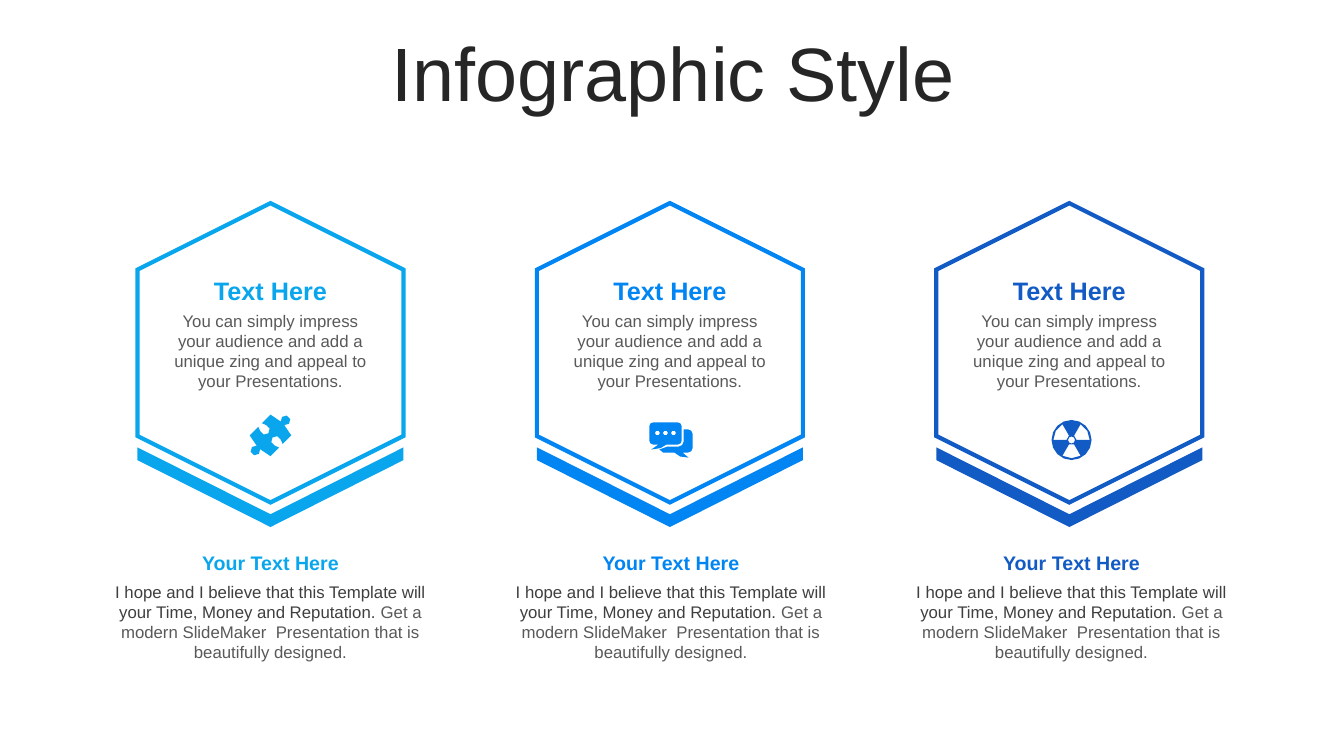
from dataclasses import dataclass
from math import cos, radians, sin

from lxml import etree
from pptx import Presentation
from pptx.dml.color import RGBColor as Rgb
from pptx.enum.shapes import MSO_SHAPE as Kind
from pptx.enum.text import MSO_ANCHOR as Anchor
from pptx.enum.text import MSO_AUTO_SIZE as Fit
from pptx.enum.text import PP_ALIGN as Align
from pptx.oxml.ns import qn
from pptx.util import Pt


@dataclass(frozen=True)
class Theme:
    """Colours, font and type sizes of the slide."""
    font: str = "Arial"
    hues: tuple = ("0AA6ED", "0085F2", "125AC4")
    title: str = "262626"
    dark: str = "3F3F3F"
    grey: str = "595959"
    huge: int = 54
    head: int = 18
    sub: int = 14
    body: int = 12


THEME = Theme()
FIRST = 193.2  # centre of the first column
PITCH = 285.3  # step between badges
STEP = 286.1  # step between icons and between captions
FINE = 100  # outline units in one point

INNER = ("You can simply impress your audience and add a unique zing "
         "and appeal to your Presentations.")
LEAD = ("I hope and I believe that this Template will your Time, "
        "Money and Reputation.")
REST = " Get a modern SlideMaker  Presentation that is beautifully designed."


def add_run(para, text, size, hue, bold=False):
    """Add one styled run to a paragraph."""
    run = para.add_run()
    run.text = text
    font = run.font
    font.name, font.size, font.bold = THEME.font, Pt(size), bold
    font.color.rgb = Rgb.from_string(hue)


def add_title(slide, text):
    """Place and fill the title."""
    title = slide.shapes.title
    title.left, title.top = Pt(25.2), Pt(26.6)
    title.width, title.height = Pt(911.5), Pt(56.9)
    frame = title.text_frame
    frame.vertical_anchor = Anchor.MIDDLE
    para = frame.paragraphs[0]
    para.alignment, para.line_spacing = Align.CENTER, 0.9
    add_run(para, text, THEME.huge, THEME.title)


def add_text(shapes, mid, top, width, height, runs):
    """Add a centred text box around the line x = mid."""
    box = shapes.add_textbox(Pt(mid - width / 2), Pt(top), Pt(width), Pt(height))
    frame = box.text_frame
    frame.word_wrap, frame.auto_size = True, Fit.SHAPE_TO_FIT_TEXT
    para = frame.paragraphs[0]
    para.alignment = Align.CENTER
    for run in runs:
        add_run(para, *run)


def fill_plain(shape, hue):
    """Give a shape a solid fill, no line and no shadow."""
    shape.shadow.inherit = False
    shape.fill.solid()
    shape.fill.fore_color.rgb = Rgb.from_string(hue)
    shape.line.fill.background()


def add_turned(shapes, kind, mid, y, width, height, turn, bend):
    """Add a rotated preset shape centred on (mid, y)."""
    shape = shapes.add_shape(kind, Pt(mid - width / 2), Pt(y - height / 2),
                             Pt(width), Pt(height))
    shape.rotation = turn
    shape.adjustments[0] = bend
    return shape


def add_badge(shapes, mid, hue):
    """Add the outlined hexagon and the chevron beneath it."""
    hexa = add_turned(shapes, Kind.HEXAGON, mid, 252, 213.8, 190, 270, 0.25)
    hexa.shadow.inherit = False
    hexa.fill.background()
    hexa.line.color.rgb = Rgb.from_string(hue)
    hexa.line.width = Pt(3)
    edge = hexa.element.spPr.find(qn("a:ln"))
    etree.SubElement(edge, qn("a:miter"), lim="800000")
    fill_plain(add_turned(shapes, Kind.CHEVRON, mid, 348, 56.9, 190, 90, 0.84), hue)


def arc(x, y, r, start, end, steps=2):
    """Return points on an arc; angles in degrees, clockwise from the right."""
    turns = (radians(start + (end - start) * i / steps) for i in range(steps + 1))
    return [(x + r * cos(t), y + r * sin(t)) for t in turns]


def disc(x, y, r, steps=8):
    """Return the corners of a round outline."""
    return arc(x, y, r, 0, 360, steps)[:-1]


def puzzle():
    """Return an upright puzzle piece: half an outline, then its mirror."""
    half = [(-10.5, -10.5), *arc(0, -15.2, 3.5, 120, 420, 5),
            (10.5, -10.5), (10.5, -1.8),
            *arc(5.6, 0, 3.5, -60, -300, 4), (10.5, 1.8)]
    return [half + [(-x, -y) for x, y in half]]


def chat():
    """Return two speech bubbles, the front one with three dots."""
    front = [*arc(2.9, 2.9, 2.9, 180, 270), *arc(20.3, 2.9, 2.9, 270, 360),
             *arc(20.3, 13, 2.9, 0, 90), (12.2, 15.9), (8, 18.4),
             (1.4, 19.4), (6.5, 15.9), *arc(2.9, 13, 2.9, 90, 180)]
    back = [(24.5, 5), *arc(27.6, 8.4, 3.4, 270, 360),
            *arc(27.6, 18.2, 3.4, 0, 90), (23.8, 21.6), (28.1, 25.2),
            (22, 24.4), (18, 21.6), (10, 21.6), (7.2, 19.4),
            (13, 17.3), *arc(21, 13.8, 3.5, 90, 0)]
    parts = [front, back, *(disc(x, 7.6, 1.8, 6) for x in (5.8, 11.55, 17.3))]
    return [[(x - 15.5, y - 12.6) for x, y in part] for part in parts]


def rays():
    """Return a disc with three open sectors and an open hub."""
    gaps = [arc(0, 0, 3.6, a, a + 60, 1) + arc(0, 0, 13, a + 60, a)
            for a in (60, 180, 300)]
    return [disc(0, 0, 14.3, 16), *gaps, disc(0, 0, 2.5)]


def add_icon(shapes, parts, mid, y, hue, turn=0):
    """Draw closed outlines as one filled shape centred on (mid, y)."""
    pen = None
    for part in parts:
        first, *rest = [(x * FINE, y * FINE) for x, y in part]
        if pen is None:
            pen = shapes.build_freeform(*first, scale=Pt(1) / FINE)
        else:
            pen.move_to(*first)
        pen.add_line_segments(rest, close=True)
    icon = pen.convert_to_shape(Pt(mid), Pt(y))
    icon.rotation = turn
    fill_plain(icon, hue)


def add_inner(shapes, mid, hue):
    """Add the heading and text inside a badge."""
    group = shapes.add_group_shape().shapes
    add_text(group, mid, 218.2, 164.2, 65.5, [(INNER, THEME.body, THEME.grey)])
    add_text(group, mid, 193, 164.2, 28.8, [("Text Here", THEME.head, hue, True)])


def add_caption(shapes, mid, hue):
    """Add the heading and text below a badge."""
    group = shapes.add_group_shape().shapes
    add_text(group, mid, 411.8, 250.6, 65.5,
             [(LEAD, THEME.body, THEME.dark), (REST, THEME.body, THEME.grey)])
    add_text(group, mid, 390.2, 248.4, 24.5,
             [("Your Text Here", THEME.sub, hue, True)])


def main():
    """Build and save the slide."""
    deck = Presentation()
    deck.slide_width, deck.slide_height = Pt(960), Pt(540)
    slide = deck.slides.add_slide(deck.slide_layouts.get_by_name("Title Only"))
    shapes = slide.shapes
    add_title(slide, "Infographic Style")
    icons = (puzzle(), 311, 45), (chat(), 314.3, 0), (rays(), 314.3, 0)
    for i, (hue, (parts, y, turn)) in enumerate(zip(THEME.hues, icons)):
        mid, low = FIRST + i * PITCH, FIRST + i * STEP
        add_badge(shapes, mid, hue)
        add_caption(shapes, low, hue)
        add_icon(shapes, parts, low, y, hue, turn)
        add_inner(shapes, mid, hue)
    deck.save("out.pptx")


main()
